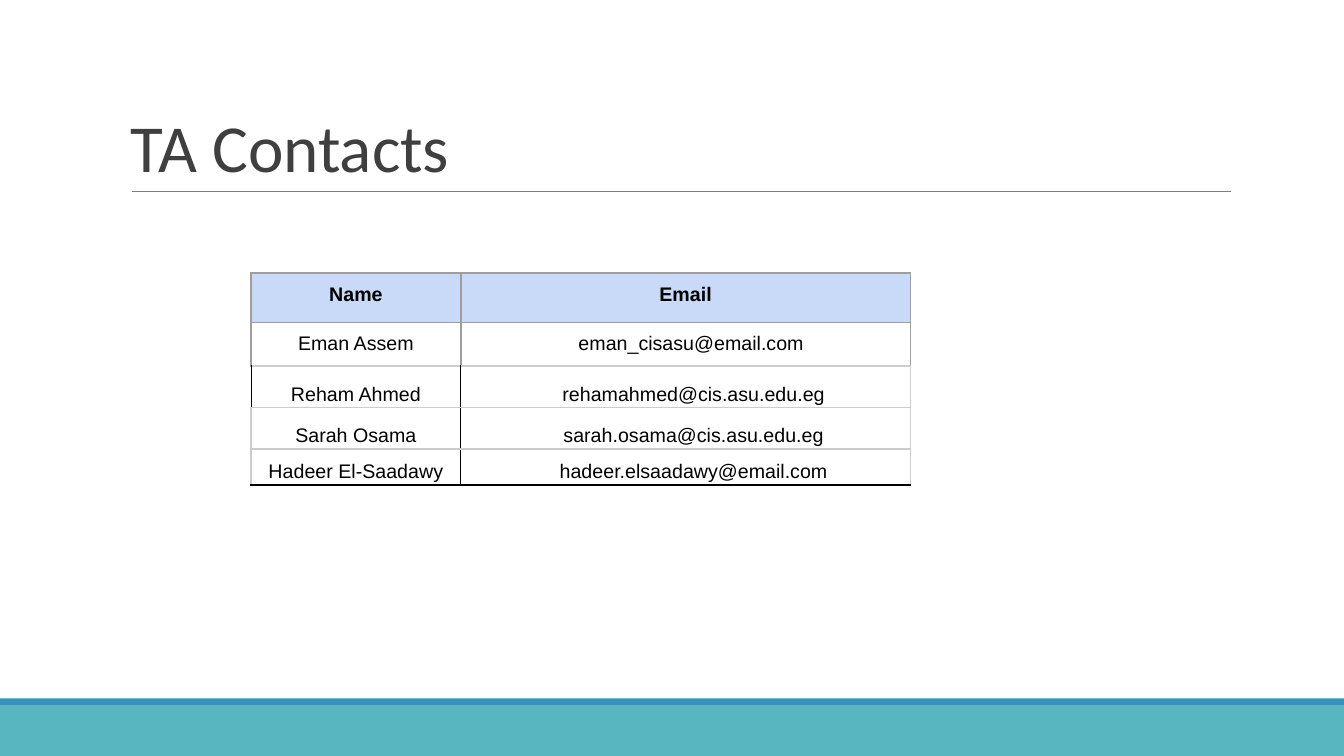
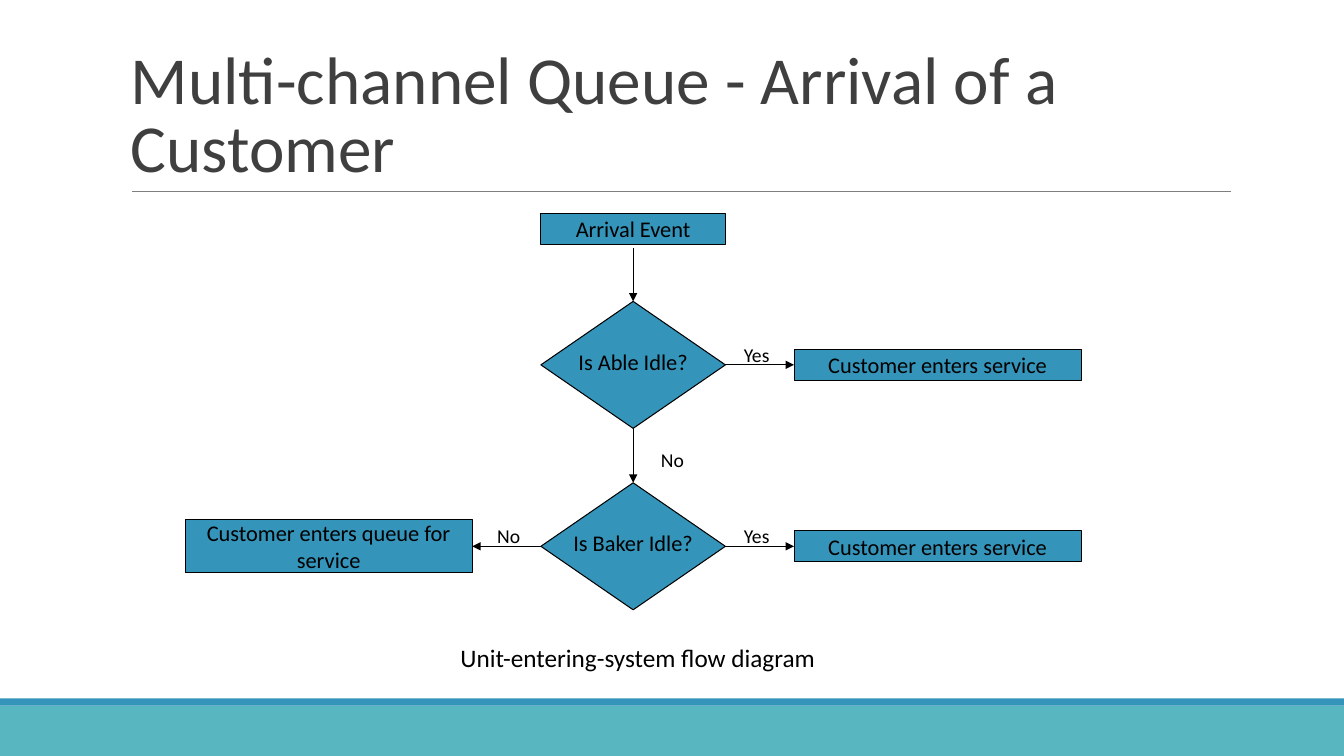
import pptx
import pptx.util
import pptx.dml.color
import pptx.enum.shapes
import pptx.enum.text
import pptx.oxml
import pptx.oxml.ns
from dataclasses import dataclass

SHAPE = pptx.enum.shapes.MSO_SHAPE
ALIGN = pptx.enum.text.PP_ALIGN
ANCHOR = pptx.enum.text.MSO_ANCHOR
qn = pptx.oxml.ns.qn
inch = pptx.util.Inches


@dataclass(frozen=True)
class Theme:
    teal: str = "58B6C0"
    blue: str = "3494BA"
    title: str = "3F3F3F"
    rule: str = "7F7F7F"
    ink: str = "000000"
    header: str = "C9DAF8"
    grey: str = "9E9E9E"
    pale: str = "CCCCCC"
    font: str = "Calibri"
    table_font: str = "Arial"
    title_size: int = 48
    caption_size: int = 18
    node_size: int = 16
    small_size: int = 14
    thin: float = 0.75
    thick: float = 1.5


T = Theme()
WIDTH, HEIGHT = 13.33, 7.5
TOP, LEFT, BOTTOM, RIGHT = range(4)

CONTACTS_TITLE = "TA Contacts"
CONTACTS = [
    ("Name", "Email"),
    ("Eman Assem", "eman_cisasu@email.com"),
    ("Reham Ahmed", "rehamahmed@cis.asu.edu.eg"),
    ("Sarah Osama", "sarah.osama@cis.asu.edu.eg"),
    ("Hadeer El-Saadawy", "hadeer.elsaadawy@email.com"),
]
TABLE_AT = (2.49, 2.71)
TABLE_COLS = [2.08, 4.46]
TABLE_ROWS = [0.49, 0.42, 0.41, 0.41, 0.36]
EMAIL_INDENTS = [0, 0.11, 0.16, 0.16, 0.16]
GREY, PALE = (T.grey, T.thick), (T.pale, T.thick)
BLACK, HEAVY = (T.ink, T.thin), (T.ink, T.thick)
ROW_RULES = [GREY, GREY, PALE, PALE, PALE, HEAVY]
COLUMN_RULES = [
    (GREY, GREY, GREY),
    (GREY, GREY, GREY),
    (BLACK, BLACK, PALE),
    (PALE, BLACK, PALE),
    (PALE, BLACK, PALE),
]

FLOW_TITLE = "Multi-channel Queue - Arrival of a Customer"
CAPTION = "Unit-entering-system flow diagram"
CENTER, PITCH = 6.28, 3.02
FLOW_COLS = [CENTER + PITCH * i for i in (-1, 0, 1)]
FLOW_ROWS = [2.27, 3.62, 5.42]
KINDS = {
    "start": (SHAPE.RECTANGLE, 1.83, 0.31),
    "step": (SHAPE.RECTANGLE, 2.85, 0.31),
    "tall step": (SHAPE.RECTANGLE, 2.85, 0.53),
    "choice": (SHAPE.FLOWCHART_DECISION, 1.83, 1.26),
}
NODES = {
    "arrival": ("start", 1, 0, "Arrival Event"),
    "able": ("choice", 1, 1, "Is Able Idle?"),
    "able service": ("step", 2, 1, "Customer enters service"),
    "baker": ("choice", 1, 2, "Is Baker Idle?"),
    "baker service": ("step", 2, 2, "Customer enters service"),
    "queue": ("tall step", 0, 2, "Customer enters queue for service"),
}
EDGES = [
    ("arrival", BOTTOM, "able", TOP, None),
    ("able", RIGHT, "able service", LEFT, ("Yes", -0.03, -0.13)),
    ("able", BOTTOM, "baker", TOP, ("No", 0.39, 0.01)),
    ("baker", RIGHT, "baker service", LEFT, ("Yes", -0.03, -0.13)),
    ("baker", LEFT, "queue", RIGHT, ("No", 0.02, -0.13)),
]
START_GAP = 0.04
LABEL_SIZE = (0.57, 0.28)


def rgb(color):
    return pptx.dml.color.RGBColor.from_string(color)


def write(tf, text, size, color=T.ink, font=T.font, bold=False, align=ALIGN.CENTER, spacing=None):
    p = tf.paragraphs[0]
    p.alignment = align
    if spacing:
        p.line_spacing = spacing
    r = p.add_run()
    r.text = text
    r.font.name, r.font.size, r.font.bold = font, pptx.util.Pt(size), bold
    r.font.color.rgb = rgb(color)


def add_text(s, box, text, size, anchor=ANCHOR.TOP, **style):
    tf = s.shapes.add_textbox(*map(inch, box)).text_frame
    tf.word_wrap = True
    tf.vertical_anchor = anchor
    write(tf, text, size, **style)


def add_block(s, kind, box, fill, line=None):
    sp = s.shapes.add_shape(kind, *map(inch, box))
    sp.shadow.inherit = False
    sp.fill.solid()
    sp.fill.fore_color.rgb = rgb(fill)
    if line:
        sp.line.color.rgb = rgb(line)
        sp.line.width = pptx.util.Pt(T.thin)
    else:
        sp.line.fill.background()
    return sp


def add_line(s, start, end, color, arrow=False):
    cx = s.shapes.add_connector(pptx.enum.shapes.MSO_CONNECTOR.STRAIGHT, *map(inch, start + end))
    cx.line.color.rgb = rgb(color)
    cx.line.width = pptx.util.Pt(T.thin)
    if arrow:
        tail = pptx.oxml.parse_xml(f'<a:tailEnd {pptx.oxml.ns.nsdecls("a")} type="triangle"/>')
        cx.line._get_or_add_ln().append(tail)
    props = cx._element.spPr
    props.append(props.makeelement(qn("a:effectLst"), {}))
    return cx


def new_slide(prs, title):
    s = prs.slides.add_slide(prs.slide_layouts[6])
    add_block(s, SHAPE.RECTANGLE, (0, 7, WIDTH, 0.5), T.teal)
    add_block(s, SHAPE.RECTANGLE, (0, 6.93, WIDTH, 0.07), T.blue)
    add_line(s, (1.31, 1.9), (12.21, 1.9), T.rule)
    add_text(s, (1.2, 0.31, 11, 1.59), title, T.title_size, ANCHOR.BOTTOM,
             color=T.title, align=ALIGN.LEFT, spacing=0.85)
    return s


def add_borders(cell, borders):
    props = cell._tc.get_or_add_tcPr()
    for side, (color, width) in zip("LRTB", borders):
        props.append(pptx.oxml.parse_xml(
            f'<a:ln{side} {pptx.oxml.ns.nsdecls("a")} w="{pptx.util.Pt(width)}">'
            f'<a:solidFill><a:srgbClr val="{color}"/></a:solidFill></a:ln{side}>'))


def contacts_slide(prs):
    s = new_slide(prs, CONTACTS_TITLE)
    table = s.shapes.add_table(len(CONTACTS), len(TABLE_COLS), *map(inch, TABLE_AT),
                               inch(sum(TABLE_COLS)), inch(sum(TABLE_ROWS))).table
    table.first_row = table.horz_banding = False
    for column, width in zip(table.columns, TABLE_COLS):
        column.width = inch(width)
    for i, texts in enumerate(CONTACTS):
        table.rows[i].height = inch(TABLE_ROWS[i])
        roomy = i < 2
        for j, text in enumerate(texts):
            cell = table.cell(i, j)
            side, edge = (0.1, 0.1) if roomy else (0.03, 0.02)
            cell.margin_left = inch(side + j * EMAIL_INDENTS[i])
            cell.margin_right = inch(side)
            cell.margin_top = cell.margin_bottom = inch(edge)
            cell.vertical_anchor = ANCHOR.TOP if roomy else ANCHOR.BOTTOM
            write(cell.text_frame, text, T.small_size, font=T.table_font,
                  bold=i == 0, spacing=None if roomy else 1.15)
            add_borders(cell, COLUMN_RULES[i][j:j + 2] + tuple(ROW_RULES[i:i + 2]))
            if i == 0:
                cell.fill.solid()
                cell.fill.fore_color.rgb = rgb(T.header)
            else:
                cell.fill.background()


def side_point(name, side):
    kind, col, row, _ = NODES[name]
    _, w, h = KINDS[kind]
    dx, dy = [(0, -h / 2), (-w / 2, 0), (0, h / 2), (w / 2, 0)][side]
    return FLOW_COLS[col] + dx, FLOW_ROWS[row] + dy


def add_node(s, name):
    kind, _, _, text = NODES[name]
    shape, w, h = KINDS[kind]
    sp = add_block(s, shape, (side_point(name, LEFT)[0], side_point(name, TOP)[1], w, h), T.blue, T.ink)
    tf = sp.text_frame
    tf.vertical_anchor = ANCHOR.MIDDLE
    tf.word_wrap = kind != "choice"
    if kind == "choice":
        tf.margin_left = tf.margin_right = tf.margin_top = 0
        tf.margin_bottom = inch(0.07)
    write(tf, text, T.node_size)
    return sp


def flow_slide(prs):
    s = new_slide(prs, FLOW_TITLE)
    add_text(s, (3.7, 6.32, 5.25, 0.33), CAPTION, T.caption_size)
    nodes = {name: add_node(s, name) for name in NODES}
    for source, out, target, into, label in EDGES:
        x1, y1 = side_point(source, out)
        x2, y2 = side_point(target, into)
        gap = START_GAP if source == "arrival" else 0
        cx = add_line(s, (x1, y1 + gap), (x2, y2), T.ink, arrow=True)
        if not gap:
            cx.begin_connect(nodes[source], out)
        cx.end_connect(nodes[target], into)
        if label:
            text, dx, dy = label
            w, h = LABEL_SIZE
            box = ((x1 + x2 - w) / 2 + dx, (y1 + y2 - h) / 2 + dy, w, h)
            add_text(s, box, text, T.small_size)


def main():
    prs = pptx.Presentation()
    prs.slide_width, prs.slide_height = inch(WIDTH), inch(HEIGHT)
    contacts_slide(prs)
    flow_slide(prs)
    prs.save("out.pptx")


if __name__ == "__main__":
    main()
